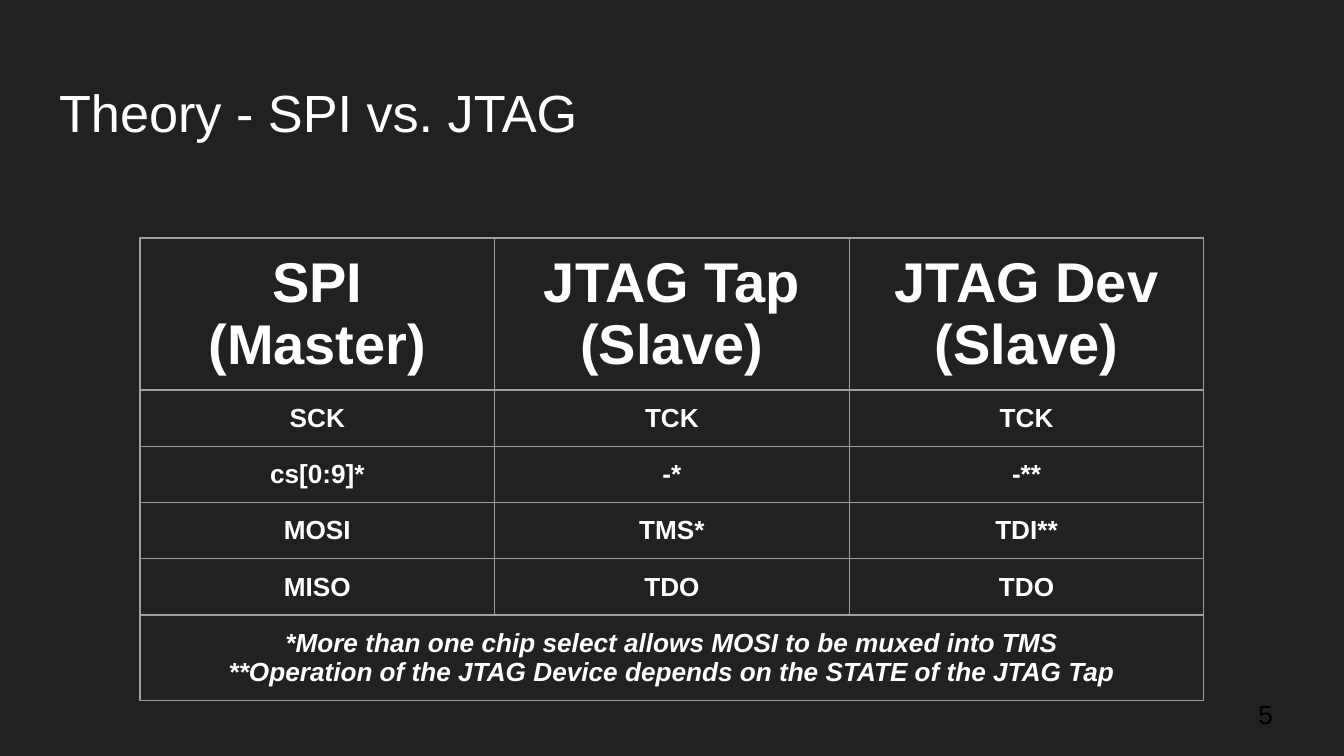
"""Build the SPI vs. JTAG signal comparison slide."""
from lxml.etree import SubElement
from pptx import Presentation
from pptx.dml.color import RGBColor
from pptx.enum.text import MSO_ANCHOR, MSO_AUTO_SIZE, PP_ALIGN
from pptx.oxml.ns import qn
from pptx.util import Pt

COLORS = {"background": "212121", "text": "FFFFFF", "border": "9E9E9E", "number": "000000"}
FRAME = {"margin_left": Pt(7.2), "margin_right": Pt(7.2), "margin_top": Pt(7.2),
         "margin_bottom": Pt(7.2), "vertical_anchor": MSO_ANCHOR.MIDDLE}
ROWS = [
    ["SPI\v(Master)", "JTAG Tap (Slave)", "JTAG Dev (Slave)"],
    ["SCK", "TCK", "TCK"],
    ["cs[0:9]*", "-*", "-**"],
    ["MOSI", "TMS*", "TDI**"],
    ["MISO", "TDO", "TDO"],
    ["*More than one chip select allows MOSI to be muxed into TMS\n"
     "**Operation of the JTAG Device depends on the STATE of the JTAG Tap"],
]


def write(tf, text, size, color="text", align=PP_ALIGN.LEFT, bold=False, italic=False):
    """Fill a text frame with uniformly formatted paragraphs."""
    tf.text = text
    font_values = {"name": "Arial", "size": Pt(size), "bold": bold, "italic": italic}
    for p in tf.paragraphs:
        p.alignment = align
        for r in p.runs:
            for name, value in font_values.items():
                setattr(r.font, name, value)
            r.font.color.rgb = RGBColor.from_string(COLORS[color])


def add_borders(cell):
    """Draw a thin line on each side of a cell."""
    tc_pr = cell._tc.get_or_add_tcPr()
    for i, side in enumerate(("lnL", "lnR", "lnT", "lnB")):
        line = SubElement(tc_pr, qn(f"a:{side}"), w=str(Pt(0.75)))
        fill = SubElement(line, qn("a:solidFill"))
        SubElement(fill, qn("a:srgbClr"), val=COLORS["border"])
        tc_pr.insert(i, line)


prs = Presentation()
prs.slide_width, prs.slide_height = Pt(720), Pt(405)
s = prs.slides.add_slide(prs.slide_layouts[5])
s.background.fill.solid()
s.background.fill.fore_color.rgb = RGBColor.from_string(COLORS["background"])

title = s.shapes.title
title.left, title.top, title.width, title.height = Pt(24.5), Pt(35.6), Pt(671), Pt(45)
number = s.shapes.add_textbox(Pt(667), Pt(367), Pt(43), Pt(31))
for sp in (title, number):
    sp.text_frame.word_wrap = True
    sp.text_frame.auto_size = MSO_AUTO_SIZE.NONE
    for name, value in FRAME.items():
        setattr(sp.text_frame, name, value)
title.text_frame.vertical_anchor = MSO_ANCHOR.TOP
write(title.text_frame, "Theory - SPI vs. JTAG", 28)
write(number.text_frame, "5", 14, "number")

table_frame = s.shapes.add_table(len(ROWS), 3, Pt(75), Pt(127.5), Pt(570), Pt(180))
table = table_frame.table
table.first_row = table.horz_banding = False
table_frame.width = table_frame.height = Pt(236.22)
table.cell(5, 0).merge(table.cell(5, 2))

for cell in table.iter_cells():
    cell.fill.background()
    add_borders(cell)

for i, texts in enumerate(ROWS):
    for j, text in enumerate(texts):
        cell = table.cell(i, j)
        for name, value in FRAME.items():
            setattr(cell, name, value)
        write(cell.text_frame, text, 30 if i == 0 else 14, align=PP_ALIGN.CENTER,
              bold=True, italic=i == 5)

prs.save("out.pptx")
